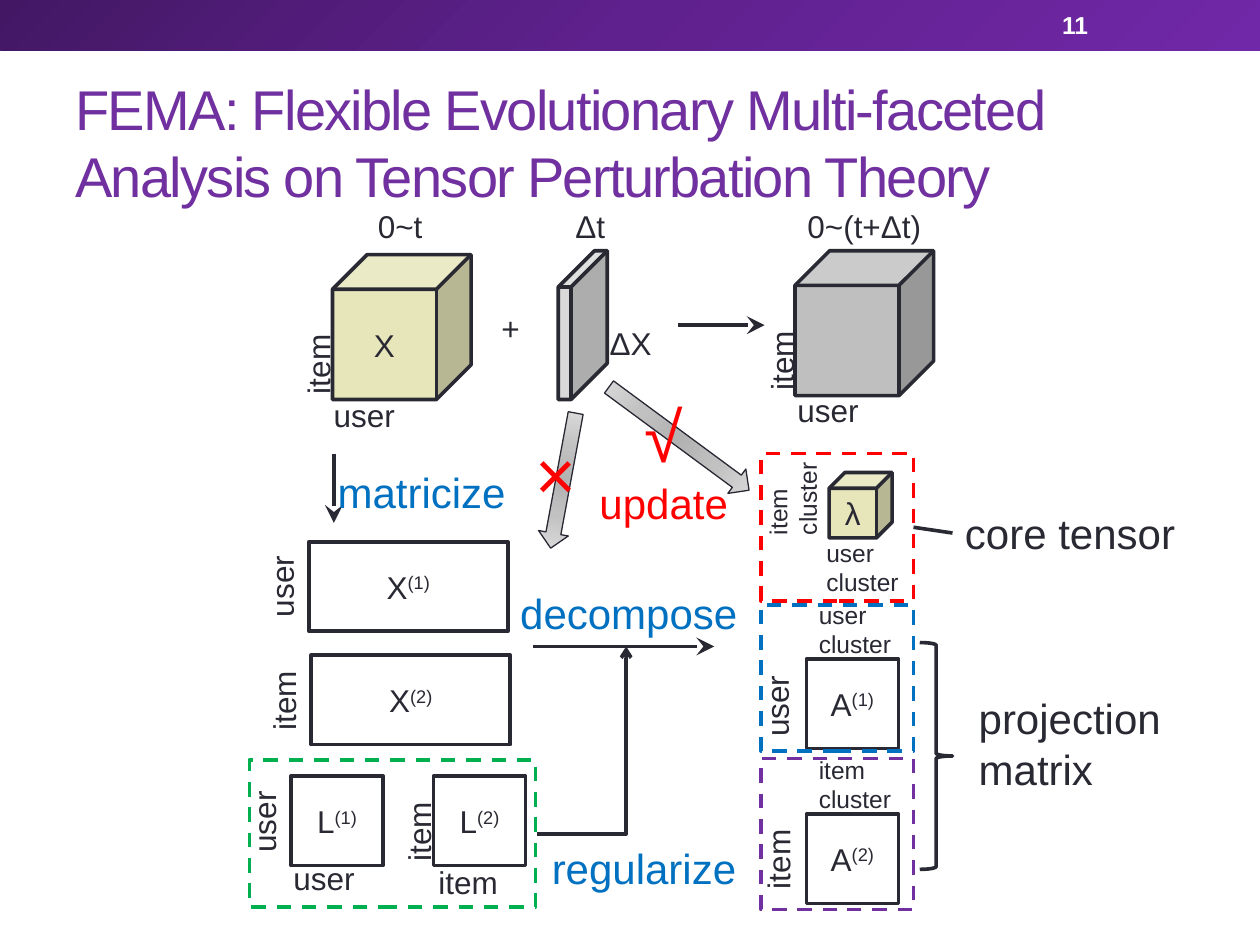
from dataclasses import dataclass

from lxml.etree import SubElement
from pptx import Presentation
from pptx.dml.color import RGBColor
from pptx.enum.dml import MSO_LINE
from pptx.enum.shapes import MSO_CONNECTOR, MSO_SHAPE
from pptx.enum.text import MSO_ANCHOR, MSO_AUTO_SIZE, PP_ALIGN
from pptx.oxml.ns import qn
from pptx.util import Pt


@dataclass(frozen=True)
class Theme:
    font: str = "Arial"
    ink: str = "292934"
    white: str = "FFFFFF"
    purple: str = "7030A0"
    blue: str = "0070C0"
    red: str = "FF0000"
    green: str = "00B050"
    sand: str = "E7E5BA"
    pale: str = "D9D9D9"
    gray: str = "BFBFBF"
    header: tuple = ((0, "431764"), (50, "5F218E"), (100, "7128A8"))
    metal: tuple = ((0, "B2B2B3"), (45, "C1C1C2"), (100, "DDDDDE"))
    line: float = 2.08
    hairline: float = 0.75
    title: int = 32
    mark: int = 40
    step: int = 24
    body: int = 18
    small: int = 14


THEME = Theme()
LABEL_HEIGHT = {THEME.body: 29, THEME.small: 41, THEME.step: 36, THEME.mark: 55}


def rgb(color):
    return RGBColor.from_string(color)


def style_text(frame, size, color, bold=False):
    for para in frame.paragraphs:
        for span in para.runs:
            span.font.name = THEME.font
            span.font.size = Pt(size)
            span.font.bold = bold
            span.font.color.rgb = rgb(color)


def add_text(page, text, left, top, width, height, size, color, bold=False):
    box = page.shapes.add_textbox(Pt(left), Pt(top), Pt(width), Pt(height))
    frame = box.text_frame
    frame.text = text
    frame.word_wrap = True
    frame.vertical_anchor = MSO_ANCHOR.MIDDLE
    style_text(frame, size, color, bold)
    return box


def add_label(page, text, left, top, width, size=THEME.body, color=THEME.ink,
              turned=False, height=None):
    height = height or LABEL_HEIGHT[size]
    box = add_text(page, text, left, top, width, height, size, color)
    box.text_frame.word_wrap = False
    box.text_frame.auto_size = MSO_AUTO_SIZE.SHAPE_TO_FIT_TEXT
    box.text_frame.vertical_anchor = MSO_ANCHOR.TOP
    box.rotation = 270 if turned else 0
    return box


def add_figure(page, kind, left, top, width, height, fill=None,
               color=THEME.ink, weight=THEME.line):
    figure = page.shapes.add_shape(kind, Pt(left), Pt(top), Pt(width), Pt(height))
    figure.shadow.inherit = False
    if fill:
        figure.fill.solid()
        figure.fill.fore_color.rgb = rgb(fill)
    else:
        figure.fill.background()
    figure.line.color.rgb = rgb(color)
    figure.line.width = Pt(weight)
    return figure


def add_symbol(figure, text, index=""):
    frame = figure.text_frame
    frame.text = text
    frame.vertical_anchor = MSO_ANCHOR.MIDDLE
    para = frame.paragraphs[0]
    para.alignment = PP_ALIGN.CENTER
    if index:
        span = para.add_run()
        span.text = index
        span.font._element.set("baseline", "30000")
    style_text(frame, THEME.body, THEME.ink)


def add_matrix(page, text, index, left, top, width=52.6):
    matrix = add_figure(page, MSO_SHAPE.RECTANGLE, left, top, width, 51.1, THEME.white)
    add_symbol(matrix, text, index)


def add_frame(page, left, top, width, height, color):
    frame = add_figure(page, MSO_SHAPE.RECTANGLE, left, top, width, height, color=color)
    frame.line.dash_style = MSO_LINE.DASH
    return frame


def set_gradient(figure, stops, angle=None):
    """Linear gradient at an angle, or a circular one without it."""
    figure.fill.gradient()
    gradient = figure._element.spPr.find(qn("a:gradFill"))
    for child in list(gradient):
        gradient.remove(child)
    stop_list = SubElement(gradient, qn("a:gsLst"))
    for position, color in stops:
        stop = SubElement(stop_list, qn("a:gs"), pos=str(position * 1000))
        SubElement(stop, qn("a:srgbClr"), val=color)
    if angle is not None:
        SubElement(gradient, qn("a:lin"), ang=str(angle * 60000), scaled="0")
    else:
        shade = SubElement(gradient, qn("a:path"), path="circle")
        SubElement(shade, qn("a:fillToRect"), {side: "100000" for side in "ltrb"})


def add_block_arrow(page, left, top, height, angle):
    arrow = add_figure(page, MSO_SHAPE.DOWN_ARROW, left, top, 17.3, height,
                       weight=THEME.hairline)
    set_gradient(arrow, THEME.metal)
    arrow.rotation = angle


def add_line(page, start, end, head=None, head_size="lg", kind=MSO_CONNECTOR.STRAIGHT):
    line = page.shapes.add_connector(kind, *map(Pt, start + end))
    line.line.color.rgb = rgb(THEME.ink)
    line.line.width = Pt(THEME.line)
    if head:
        SubElement(line.line._get_or_add_ln(), qn("a:tailEnd"),
                   type=head, w=head_size, len=head_size)
    SubElement(line._element.spPr, qn("a:effectLst"))
    return line


def add_heading(page):
    band = add_figure(page, MSO_SHAPE.RECTANGLE, 0, 0, 720, 28.8)
    set_gradient(band, THEME.header, angle=45)
    band.line.fill.background()
    title = add_text(page, "FEMA: Flexible Evolutionary Multi-faceted Analysis on "
                     "Tensor Perturbation Theory", 36, 41.8, 648, 77.8,
                     THEME.title, THEME.purple)
    title.text_frame.paragraphs[0].runs[0].font._element.set("spc", "-100")
    add_text(page, "11", 599.8, 1.4, 84.2, 26, THEME.small, THEME.white, bold=True)


def main():
    deck = Presentation()
    deck.slide_width, deck.slide_height = Pt(720), Pt(540)
    page = deck.slides.add_slide(deck.slide_layouts[6])
    add_heading(page)

    # Tensors
    cube = MSO_SHAPE.CUBE
    add_symbol(add_figure(page, cube, 190, 145.5, 79.2, 82.8, THEME.sand), "X")
    change = add_figure(page, cube, 319, 143.3, 28, 85, THEME.pale)
    change.adjustments[0] = 0.74
    add_figure(page, cube, 454.3, 143.3, 79.2, 82.8, THEME.gray)
    add_symbol(add_figure(page, cube, 473.8, 270, 36, 37.4, THEME.sand), "λ")

    # Matrices
    for text, index, left, top, width in (
        ("X", "(1)", 176.4, 309.6, 113.8), ("X", "(2)", 177.8, 374.4, 113.8),
        ("L", "(1)", 166.3, 443.5, 52.6), ("L", "(2)", 247.7, 443.5, 52.6),
        ("A", "(1)", 460.8, 376.6, 52.6), ("A", "(2)", 460.8, 465.1, 52.6),
    ):
        add_matrix(page, text, index, left, top, width)

    # Dashed frames and the brace
    core_frame = add_frame(page, 434.9, 259.2, 87.1, 84.2, THEME.red)
    add_frame(page, 434.9, 345.6, 87.1, 83.5, THEME.blue)
    add_frame(page, 434.9, 433.4, 87.1, 86.4, THEME.purple)
    add_frame(page, 142.6, 434.2, 163.4, 84.2, THEME.green)
    add_figure(page, MSO_SHAPE.RIGHT_BRACE, 525.6, 367.2, 18.7, 129.6)

    # Arrows
    add_block_arrow(page, 313.2, 235.4, 78.5, 10.5)
    add_block_arrow(page, 379.4, 200.9, 99.4, 306.4)
    for start, end in (((387.4, 185.8), (437, 185.8)),
                       ((190.8, 259.2), (190.8, 298.8)),
                       ((304.6, 369.4), (408.2, 369.4))):
        add_line(page, start, end, "stealth")
    elbow = add_line(page, (306.7, 476.6), (357.8, 369.4), "arrow", "med",
                     MSO_CONNECTOR.ELBOW)
    elbow._element.spPr.find(qn("a:prstGeom")).set("prst", "bentConnector2")

    # Axis names, upright and turned
    for text, left, top in (("user", 183.6, 222.5), ("user", 448.6, 219.6),
                            ("user", 160.6, 487.4), ("item", 243.4, 489.6)):
        add_label(page, text, left, top, 49.5)
    for text, left, top in (("item", 157, 193), ("item", 421.9, 190.8),
                            ("user", 136.1, 320.4), ("item", 137.5, 385.2),
                            ("user", 126, 455), ("item", 214.6, 460.1),
                            ("user", 419, 388.8), ("item", 419.8, 475.9)):
        add_label(page, text, left, top, 49.5, turned=True)
    for text, left, top, turned in (("user\ncluster", 465.1, 303.8, False),
                                    ("item\ncluster", 424.8, 264.2, True),
                                    ("user\ncluster", 460.8, 339.1, False),
                                    ("item\ncluster", 460.8, 427.7, False)):
        add_label(page, text, left, top, 56.2, THEME.small, turned=turned)

    # Time spans and operators
    for text, left, top, width in (("0~t", 208.8, 114.5, 41), ("Δt", 321.8, 114.5, 31.7),
                                   ("0~(t+Δt)", 454.3, 114.5, 83.5),
                                   ("+", 279.4, 172.8, 25.2), ("ΔX", 341.3, 181.4, 39.6)):
        add_label(page, text, left, top, width)

    # Steps, verdicts and callouts
    for text, left, top, width, size, color in (
        ("matricize", 185.8, 262.8, 111.6, THEME.step, THEME.blue),
        ("decompose", 290.2, 331.9, 139.7, THEME.step, THEME.blue),
        ("regularize", 308.2, 478.1, 121, THEME.step, THEME.blue),
        ("update", 335.5, 269.3, 88.6, THEME.step, THEME.red),
        ("×", 298.8, 242.6, 38, THEME.mark, THEME.red),
        ("√", 361.4, 221, 36.7, THEME.mark, THEME.red),
    ):
        add_label(page, text, left, top, width, size, color)
    add_label(page, "projection\nmatrix", 552.2, 392.4, 119.5, THEME.step, height=65.5)
    core_label = add_label(page, "core tensor", 544.3, 286.6, 136.1, THEME.step)
    callout = add_line(page, (522, 301.3), (544.3, 304.6))
    callout.begin_connect(core_frame, 3)
    callout.end_connect(core_label, 1)

    deck.save("out.pptx")


if __name__ == "__main__":
    main()
